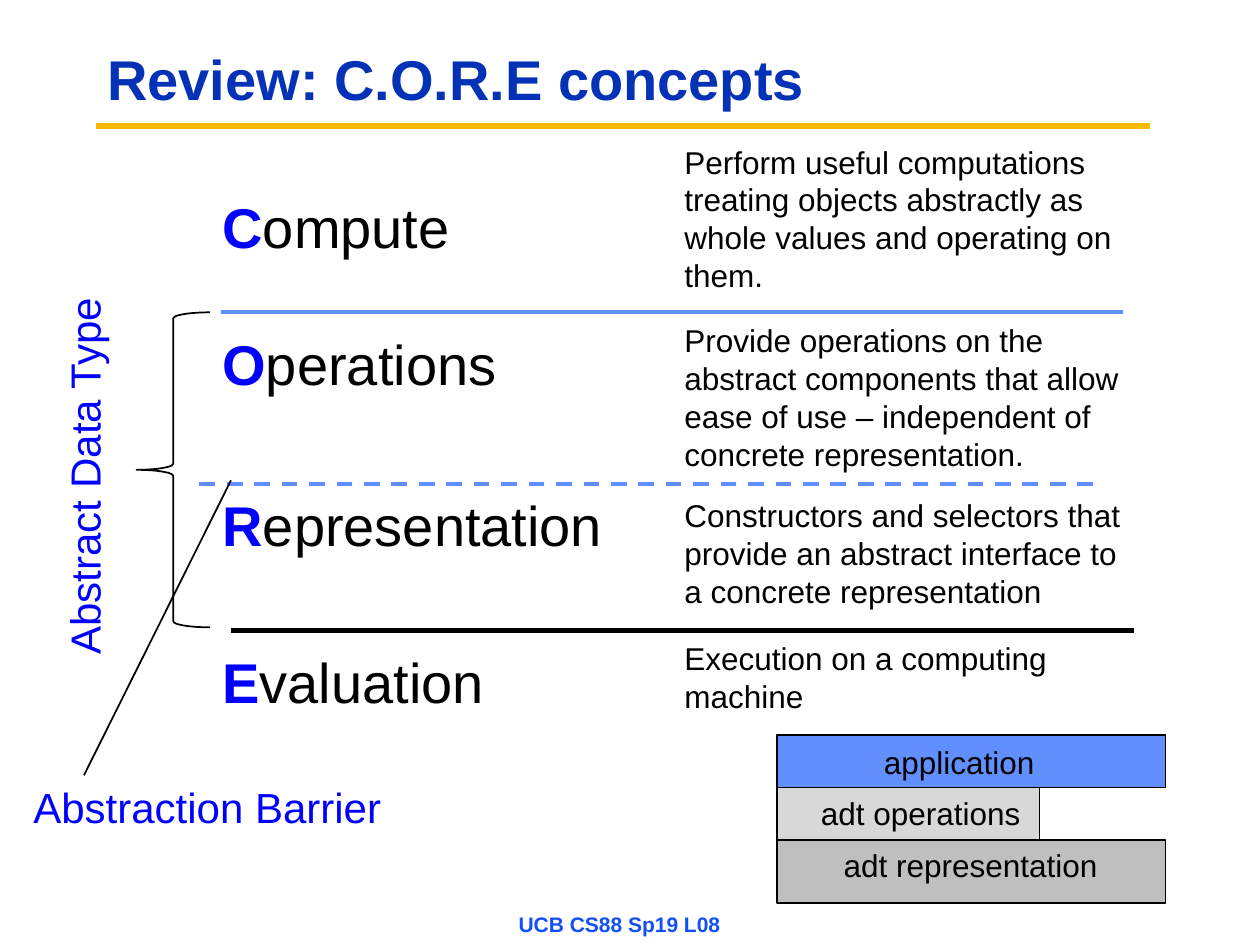
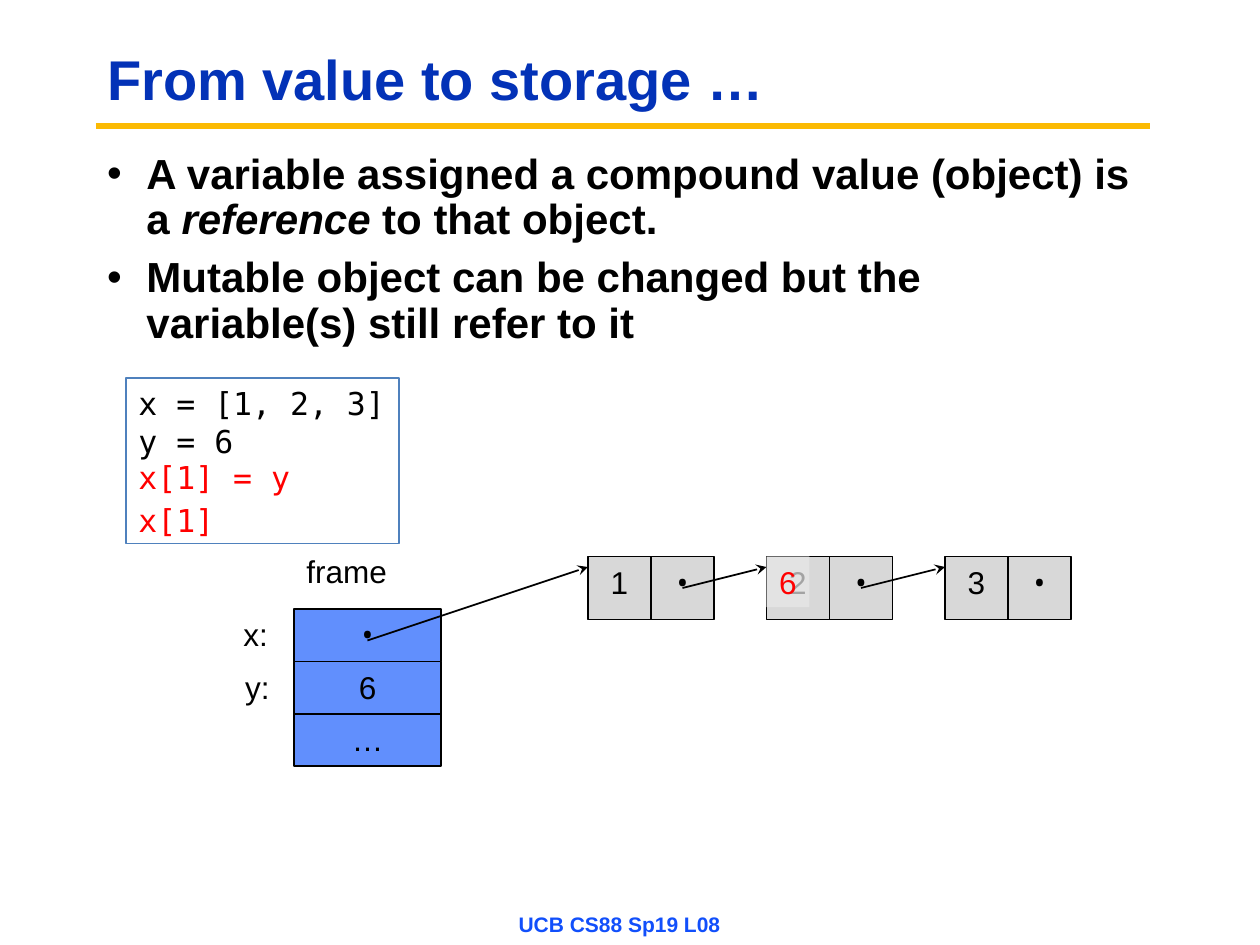
from lxml import etree
from pptx import Presentation
from pptx.dml.color import RGBColor
from pptx.enum import dml, shapes, text
from pptx.oxml.ns import qn
from pptx.util import Pt

COLORS = {
    "title": "0332B7", "rule": "FBBA03", "footer": "114FFB", "ink": "000000",
    "accent": "0000FF", "sky": "618FFD", "pale": "D8D8D8", "grey": "BFBFBF",
    "code_edge": "4F81BD", "change": "FF0000", "veil": "E9E9E9",
}
SANS, MONO, DOT = "Arial", "DejaVu Sans Mono", "Open Sans"
LEFT, CENTER = text.PP_ALIGN.LEFT, text.PP_ALIGN.CENTER


def rgb(name):
    """Return a palette colour."""
    return RGBColor.from_string(COLORS[name])


def style(run, size=18, color="ink", font=SANS, bold=False, italic=False):
    """Format one run."""
    run.font.size, run.font.name = Pt(size), font
    run.font.bold, run.font.italic = bold, italic
    run.font.color.rgb = rgb(color)


def write(holder, words, align=LEFT, anchor=text.MSO_ANCHOR.TOP, **look):
    """Fill a shape with uniformly formatted text."""
    frame = holder.text_frame
    frame.text = words
    frame.vertical_anchor = anchor
    for paragraph in frame.paragraphs:
        paragraph.alignment = align
        for run in paragraph.runs:
            style(run, **look)


def place(holder, left, top, width, height):
    """Move and size a shape."""
    holder.left, holder.top = Pt(left), Pt(top)
    holder.width, holder.height = Pt(width), Pt(height)


def add_label(slide, words, left, top, width, height=29, wrap=False, **look):
    """Add a text box."""
    label = slide.shapes.add_textbox(Pt(left), Pt(top), Pt(width), Pt(height))
    label.text_frame.word_wrap = wrap
    write(label, words, **look)
    return label


def add_box(parent, left, top, width, height, fill=None, edge="ink", weight=1,
            kind=shapes.MSO_SHAPE.RECTANGLE):
    """Add a preset shape with optional fill and outline."""
    box = parent.shapes.add_shape(kind, Pt(left), Pt(top), Pt(width), Pt(height))
    box.shadow.inherit = False
    if fill:
        box.fill.solid()
        box.fill.fore_color.rgb = rgb(fill)
    else:
        box.fill.background()
    if edge:
        box.line.color.rgb, box.line.width = rgb(edge), Pt(weight)
    else:
        box.line.fill.background()
    return box


def add_line(slide, x1, y1, x2, y2, color="ink", weight=1, dashed=False, arrow=False):
    """Add a straight line, dashed or arrowed on request."""
    line = slide.shapes.add_connector(
        shapes.MSO_CONNECTOR.STRAIGHT, Pt(x1), Pt(y1), Pt(x2), Pt(y2))
    line.line.color.rgb, line.line.width = rgb(color), Pt(weight)
    if dashed:
        line.line.dash_style = dml.MSO_LINE.DASH
    properties = line._element.spPr
    if arrow:
        etree.SubElement(properties.find(qn("a:ln")), qn("a:tailEnd"), type="stealth")
    etree.SubElement(properties, qn("a:effectLst"))


def start_slide(deck, layout, heading):
    """Add a slide with the shared title, rule and footer."""
    slide = deck.slides.add_slide(deck.slide_layouts[layout])
    title = slide.shapes.title
    place(title, 54, 18, 606, 58)
    write(title, heading, anchor=text.MSO_ANCHOR.MIDDLE, size=32, color="title", bold=True)
    title.text_frame.paragraphs[0].line_spacing = 0.9
    add_line(slide, 54.75, 72, 657.25, 72, "rule", 3.75)
    add_label(slide, "UCB CS88 Sp19 L08", 240, 516, 228, 24, wrap=True, align=CENTER,
              anchor=text.MSO_ANCHOR.MIDDLE, size=12, color="footer", bold=True)
    return slide


def add_concepts(slide, left, top):
    """Add the four C.O.R.E terms, their meanings and the dividers."""
    concepts = [
        ("Compute", 28.5, 145, 0, 288, 94, "Perform useful computations treating objects "
         "abstractly as whole values and operating on them."),
        ("Operations", 106.5, 173, 102, 276, 94, "Provide operations on the abstract components "
         "that allow ease of use – independent of concrete representation."),
        ("Representation", 198.5, 234, 202, 276, 73, "Constructors and selectors that provide "
         "an abstract interface to a concrete representation"),
        ("Evaluation", 288.5, 166, 283.5, 276, 51, "Execution on a computing machine"),
    ]
    for term, term_top, term_width, top_offset, width, height, meaning in concepts:
        label = add_label(slide, term[0], left, top + term_top, term_width, 46,
                          size=32, color="accent", bold=True)
        rest = label.text_frame.paragraphs[0].add_run()
        rest.text = term[1:]
        style(rest, size=32)
        add_label(slide, meaning, left + 264, top + top_offset, width, height, wrap=True)
    dividers = [(6, 100.5, "sky", 2.25, False), (-6, 198.5, "sky", 2.25, True),
                (12, 282.5, "ink", 3, False)]
    for dx, dy, color, weight, dashed in dividers:
        x, y = left + dx, top + dy
        add_line(slide, x, y, x + 516, y, color, weight, dashed)


def add_abstraction_notes(slide, left, top):
    """Add the brace for the data type and the pointer to the barrier."""
    brace = add_box(slide, left + 66, top, 42, 180, kind=shapes.MSO_SHAPE.LEFT_BRACE)
    brace.adjustments[0], brace.adjustments[1] = 0.083, 0.5
    data_type = add_label(slide, "Abstract Data Type", left - 74.5, top + 74, 221, 36,
                          size=24, color="accent")
    data_type.rotation = 270
    add_label(slide, "Abstraction Barrier", left, top + 264.5, 217, 36,
              size=24, color="accent")
    add_line(slide, left + 120, top + 96, left + 36, top + 264.5)


def add_layer_stack(slide, left, top):
    """Add the three layers of a program that uses an ADT."""
    layers = [
        ("adt representation", 60, 222, 36, "grey", 31, 60, 161),
        ("adt operations", 30, 150, 30, "pale", 18, 30, 130),
        ("application", 0, 222, 30, "sky", 54, 1, 102),
    ]
    for name, dy, width, height, fill, name_dx, name_dy, name_width in layers:
        add_box(slide, left, top + dy, width, height, fill)
        add_label(slide, name, left + name_dx, top + name_dy, name_width)


def add_points(slide, left, top, width, height):
    """Fill the body placeholder with the two statements."""
    body = slide.placeholders[1]
    place(body, left, top, width, height)
    frame = body.text_frame
    frame.auto_size = text.MSO_AUTO_SIZE.NONE
    points = [
        ["A variable assigned a compound value (object) is a ", "reference", " to that object."],
        ["Mutable object can be changed but the variable(s) still refer to it"],
    ]
    for index, pieces in enumerate(points):
        paragraph = frame.add_paragraph() if index else frame.paragraphs[0]
        paragraph.line_spacing, paragraph.space_before = 0.9, Pt(7.2 * index)
        indents = paragraph._p.get_or_add_pPr()
        indents.set("marL", str(Pt(22.5)))
        indents.set("indent", str(-Pt(22.5)))
        for piece in pieces:
            run = paragraph.add_run()
            run.text = piece
            style(run, size=24, bold=True, italic=piece == "reference")


def add_code(slide, left, top):
    """Add the code box with the changing lines in red."""
    code = add_box(slide, left, top, 156, 94.5, edge="code_edge", weight=0.75)
    write(code, "x = [1, 2, 3]\ny = 6", font=MONO)
    add_label(slide, "x[1] = y", left, top + 42, 102, font=MONO, color="change")
    add_label(slide, "x[1]", left, top + 67, 58, font=MONO, color="change")


def add_cell(parent, words, left, top, width, height, fill):
    """Add one memory cell; a dot marks a reference."""
    cell = add_box(parent, left, top, width, height, fill)
    write(cell, words, align=CENTER, font=DOT if words == "•" else SANS)


def add_frame(slide, left, top):
    """Add the frame with its variables."""
    add_label(slide, "frame", left, top - 36, 61)
    for row, words in enumerate("•6…"):
        add_cell(slide, words, left, top + 30 * row, 84, 30, "sky")
    for row, name in enumerate(["x:", "y:"]):
        add_label(slide, name, left - 36 + row, top + 30 * row, 29)


def add_linked_list(slide, left, top, side=36, pitch=102):
    """Add the list nodes, their links and the replaced value."""
    for index, value in enumerate("123"):
        node = slide.shapes.add_group_shape()
        x = left + pitch * index
        add_cell(node, value, x, top, side, side, "pale")
        add_cell(node, "•", x + side, top, side, side, "pale")
    for index in range(2):
        x = left + pitch * index
        add_line(slide, x + 1.5 * side, top + side / 2, x + pitch, top + 6, arrow=True)
    update = add_box(slide, left + pitch, top, 24.5, 29, "veil", edge=None)
    veil = update._element.spPr.find(qn("a:solidFill")).find(qn("a:srgbClr"))
    etree.SubElement(veil, qn("a:alpha"), val="70000")
    write(update, "6", align=CENTER, color="change")


def build_review(deck):
    """Build the C.O.R.E review slide."""
    slide = start_slide(deck, 5, "Review: C.O.R.E concepts")
    add_concepts(slide, 120, 78)
    add_abstraction_notes(slide, 12, 178.5)
    add_layer_stack(slide, 444, 420)


def build_storage(deck):
    """Build the slide on references and storage."""
    slide = start_slide(deck, 1, "From value to storage …")
    add_points(slide, 54, 84, 600, 144)
    add_code(slide, 72, 216)
    add_frame(slide, 168, 348)
    add_linked_list(slide, 336, 318)
    add_line(slide, 210, 366, 336, 324, arrow=True)


def main():
    """Build and save the deck."""
    deck = Presentation()
    deck.slide_width, deck.slide_height = Pt(720), Pt(540)
    build_review(deck)
    build_storage(deck)
    deck.save("out.pptx")


if __name__ == "__main__":
    main()
